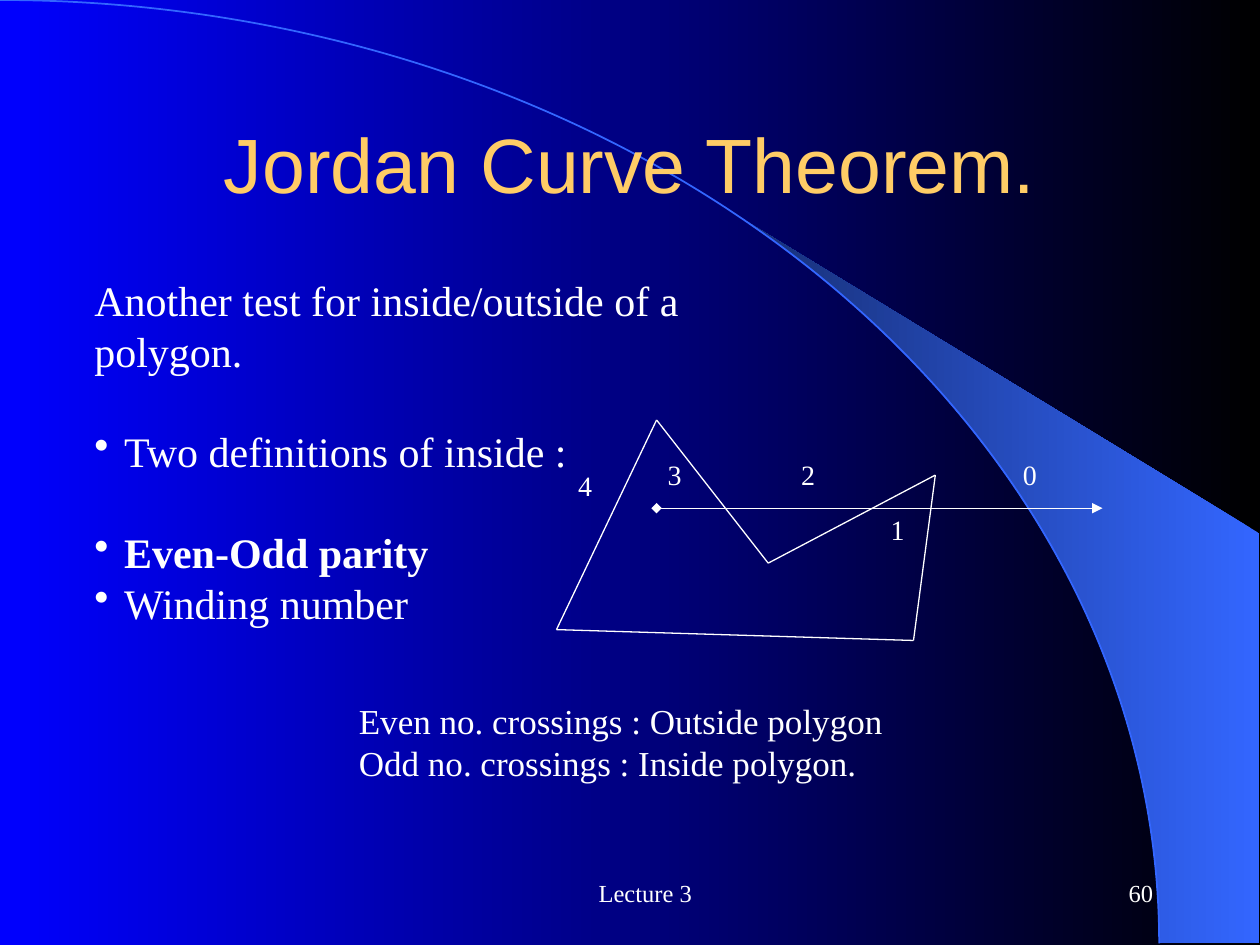
import math
import itertools
import lxml.etree
import pptx
import pptx.util
import pptx.dml.color
import pptx.enum.shapes
import pptx.enum.text
import pptx.oxml.ns

Pt = pptx.util.Pt
qn = pptx.oxml.ns.qn
ALIGN = pptx.enum.text.PP_ALIGN
ANCHOR = pptx.enum.text.MSO_ANCHOR
COLORS = {"night": "000000", "blue": "0000FF", "arc": "3366FF", "shade": "172F75",
          "title": "FFCC66", "white": "FFFFFF"}
RGB = {name: pptx.dml.color.RGBColor.from_string(value) for name, value in COLORS.items()}


def write(box, lines, size, font="Times New Roman", color="white", frame_format={}, para_format={}):
    frame = box.text_frame
    for name, value in {"word_wrap": False, **frame_format}.items():
        setattr(frame, name, value)
    for index, (words, bold, bullet, gap) in enumerate(lines):
        para = frame.paragraphs[0] if index == 0 else frame.add_paragraph()
        properties = para._p.get_or_add_pPr()
        if bullet:
            properties.set("marL", str(Pt(17)))
            properties.set("indent", str(-Pt(17)))
            lxml.etree.SubElement(properties, qn("a:buChar")).set("char", "•")
        for name, value in para_format.items():
            setattr(para, name, value)
        if gap:
            para.space_before = Pt(gap)
        span = para.add_run()
        span.text = words
        for name, value in {"name": font, "size": Pt(size), "bold": bold}.items():
            setattr(span.font, name, value)
        span.font.color.rgb = RGB[color]


def draw_line(start, end):
    line = page.shapes.add_connector(pptx.enum.shapes.MSO_CONNECTOR.STRAIGHT,
                                     *(Pt(value) for value in start + end))
    line.line.width = Pt(0.75)
    line.line.color.rgb = RGB["white"]
    lxml.etree.SubElement(line._element.spPr, qn("a:effectLst"))
    return line


deck = pptx.Presentation()
deck.slide_width, deck.slide_height = Pt(720), Pt(540)
page = deck.slides.add_slide(deck.slide_layouts[5])

radius_x, radius_y = 662.4, 539
start_angle = math.acos(424 / radius_x)
steps = 24
curve = []
for step in range(steps + 1):
    angle = start_angle * (1 - step / steps)
    curve.append((Pt(radius_x * math.cos(angle)), Pt(radius_y * (1 - math.sin(angle)))))
builder = page.shapes.build_freeform(*curve[0])
builder.add_line_segments(curve[1:] + [(Pt(719.3), Pt(539)), (Pt(719.3), Pt(304.6))], close=True)
wedge = builder.convert_to_shape()
wedge.shadow.inherit = False
wedge.line.fill.background()

for fill, names in ((page.background.fill, ("night", "blue")), (wedge.fill, ("arc", "shade"))):
    fill.gradient()
    fill.gradient_angle = 180
    for stop, name in zip(fill.gradient_stops, names):
        stop.color.rgb = RGB[name]

arc = page.shapes.add_shape(pptx.enum.shapes.MSO_SHAPE.ARC, Pt(-radius_x), Pt(0),
                            Pt(2 * radius_x), Pt(2 * radius_y))
arc.shadow.inherit = False
arc.fill.background()
arc.line.color.rgb = RGB["arc"]
arc.line.width = Pt(1)

title = page.shapes.title
page.shapes._spTree.append(title._element)
for name, value in {"left": 54, "top": 48, "width": 612, "height": 90}.items():
    setattr(title, name, Pt(value))
write(title, [("Jordan Curve Theorem.", False, False, 0)], 44, "Arial", "title",
      {"word_wrap": True, "vertical_anchor": ANCHOR.MIDDLE}, {"alignment": ALIGN.CENTER})

definitions = page.shapes.add_textbox(Pt(46.8), Pt(153.4), Pt(438.5), Pt(180))
write(definitions, [("Another test for inside/outside of a polygon.", False, False, 0),
                    ("Two definitions of inside :", False, True, 28.8),
                    ("Even-Odd parity", True, True, 28.8),
                    ("Winding number", False, True, 0)], 24)

corners = [(318, 359.8), (522, 366), (534.5, 271.5), (439, 321.8), (375.2, 240)]
for start, end in itertools.pairwise(corners + corners[:1]):
    draw_line(start, end)

ray = draw_line((375.2, 290.4), (630, 290.4))
outline = ray._element.spPr.find(qn("a:ln"))
for tag, kind in (("a:headEnd", "diamond"), ("a:tailEnd", "triangle")):
    lxml.etree.SubElement(outline, qn(tag)).set("type", kind)

crossings = {"0": (577.4, 257.8), "1": (501.8, 289.4), "2": (450.7, 257.8),
             "3": (374.4, 257.8), "4": (323.3, 264.2)}
for count, (left, top) in crossings.items():
    label = page.shapes.add_textbox(Pt(left), Pt(top), Pt(22.3), Pt(26.6))
    write(label, [(count, False, False, 0)], 16)

rule = page.shapes.add_textbox(Pt(198), Pt(396), Pt(313.9), Pt(55.4))
write(rule, [("Even no. crossings : Outside polygon", False, False, 0),
             ("Odd no. crossings : Inside polygon.", False, False, 0)], 20)

for words, left, width, alignment in (("Lecture 3", 246.2, 228.2, ALIGN.CENTER),
                                      ("60", 516.2, 149.8, ALIGN.RIGHT)):
    footer = page.shapes.add_textbox(Pt(left), Pt(492), Pt(width), Pt(36))
    write(footer, [(words, False, False, 0)], 14,
          frame_format={"word_wrap": True, "vertical_anchor": ANCHOR.MIDDLE},
          para_format={"alignment": alignment})
    footer.text_frame.paragraphs[0]._p.get_or_add_pPr().set("marL", str(Pt(17)))

deck.save("out.pptx")
